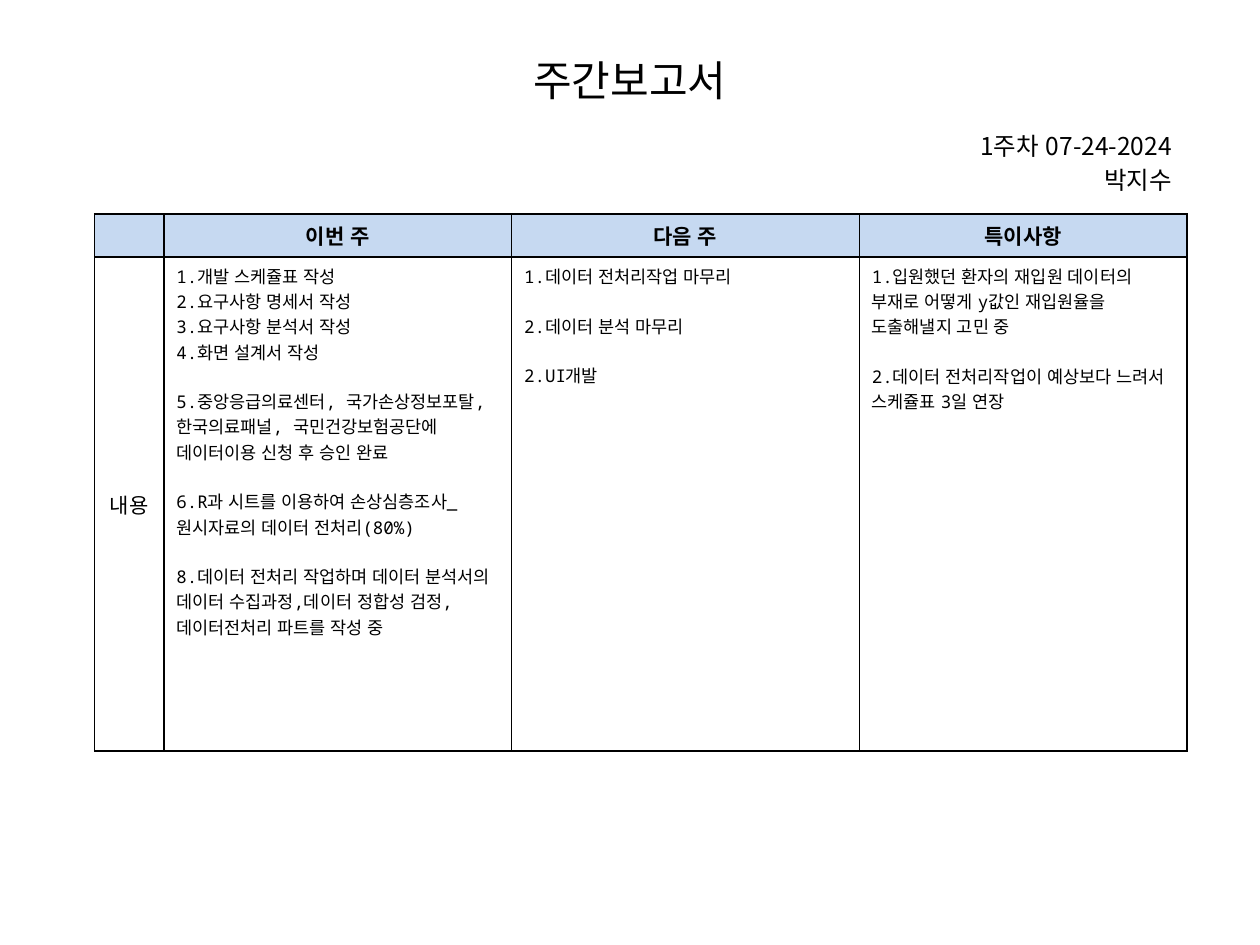
import pptx
import pptx.dml.color
import pptx.enum.lang
import pptx.enum.text
import pptx.oxml
import pptx.oxml.ns
import pptx.util
from dataclasses import dataclass

Inches = pptx.util.Inches
Pt = pptx.util.Pt
ALIGN = pptx.enum.text.PP_ALIGN
ANCHOR = pptx.enum.text.MSO_ANCHOR


@dataclass(frozen=True)
class Theme:
    text_font: str = "Noto Sans CJK KR"
    list_font: str = "Noto Sans Mono"
    ink: str = "000000"
    header_fill: str = "C6D9F1"
    title_size: int = 24
    subtitle_size: int = 14
    label_size: int = 12
    list_size: int = 10
    item_gap: int = 14
    subtitle_gap: float = 2.8
    border_width: int = 1


THEME = Theme()
TITLE = "주간보고서"
SUBTITLE = ["1주차 07-24-2024", "박지수"]
HEADERS = ["", "이번 주", "다음 주", "특이사항"]
ROW_LABEL = "내용"
COLUMN_WIDTHS = [0.55, 2.76, 2.76, 2.6]
ROW_HEIGHTS = [0.34, 3.92]
THIS_WEEK = [
    ["1.개발 스케쥴표 작성", "2.요구사항 명세서 작성", "3.요구사항 분석서 작성", "4.화면 설계서 작성"],
    ["5.중앙응급의료센터, 국가손상정보포탈, 한국의료패널, 국민건강보험공단에 데이터이용 신청 후 승인 완료"],
    ["6.R과 시트를 이용하여 손상심층조사_원시자료의 데이터 전처리(80%)"],
    ["8.데이터 전처리 작업하며 데이터 분석서의 데이터 수집과정,데이터 정합성 검정, 데이터전처리 파트를 작성 중"],
]
NEXT_WEEK = [["1.데이터 전처리작업 마무리"], ["2.데이터 분석 마무리"], ["2.UI개발"]]
REMARKS = [
    ["1.입원했던 환자의 재입원 데이터의 부재로 어떻게 y값인 재입원율을 도출해낼지 고민 중"],
    ["2.데이터 전처리작업이 예상보다 느려서 스케쥴표 3일 연장"],
]


def format_paragraph(paragraph, size, align, font_name=THEME.text_font, bold=False):
    paragraph.alignment = align
    font = paragraph.font
    font.name, font.size, font.bold = font_name, Pt(size), bold
    font.language_id = pptx.enum.lang.MSO_LANGUAGE_ID.KOREAN
    font.color.rgb = pptx.dml.color.RGBColor.from_string(THEME.ink)
    latin = paragraph._p.pPr.find(".//" + pptx.oxml.ns.qn("a:latin"))
    latin.addnext(pptx.oxml.parse_xml(
        f'<a:ea {pptx.oxml.ns.nsdecls("a")} typeface="{THEME.text_font}"/>'))


def write_lines(text_frame, lines, size, align, **style):
    text_frame.text = "\n".join(lines)
    for paragraph in text_frame.paragraphs:
        format_paragraph(paragraph, size, align, **style)


def add_title(slide):
    title = slide.shapes.title
    title.left, title.top = Inches(0.75), Inches(0.36)
    title.width, title.height = Inches(8.5), Inches(0.55)
    title.text_frame.vertical_anchor = ANCHOR.MIDDLE
    write_lines(title.text_frame, [TITLE], THEME.title_size, ALIGN.CENTER)


def add_subtitle(slide):
    box = slide.shapes.add_textbox(Inches(7.2), Inches(0.99), Inches(2.2), Inches(0.63))
    box.text_frame.word_wrap = True
    write_lines(box.text_frame, SUBTITLE, THEME.subtitle_size, ALIGN.RIGHT)
    for paragraph in box.text_frame.paragraphs:
        paragraph.space_before = Pt(THEME.subtitle_gap)


def format_cell(cell, fill=None):
    if fill:
        cell.fill.solid()
        cell.fill.fore_color.rgb = pptx.dml.color.RGBColor.from_string(fill)
    else:
        cell.fill.background()
    properties = cell._tc.get_or_add_tcPr()
    for position, side in enumerate("LRTB"):
        properties.insert(position, pptx.oxml.parse_xml(
            f'<a:ln{side} {pptx.oxml.ns.nsdecls("a")} w="{Pt(THEME.border_width)}">'
            f'<a:solidFill><a:srgbClr val="{THEME.ink}"/></a:solidFill></a:ln{side}>'))


def write_groups(cell, groups):
    lines = [line for group in groups for line in group]
    write_lines(cell.text_frame, lines, THEME.list_size, ALIGN.LEFT, font_name=THEME.list_font)
    first = 0
    for group in groups[:-1]:
        first += len(group)
        cell.text_frame.paragraphs[first].space_before = Pt(THEME.item_gap)


def add_report_table(slide):
    frame = slide.shapes.add_table(
        len(ROW_HEIGHTS), len(COLUMN_WIDTHS), Inches(0.75), Inches(1.7),
        Inches(sum(COLUMN_WIDTHS)), Inches(sum(ROW_HEIGHTS)))
    table = frame.table
    table.first_row = table.horz_banding = False
    for column, width in zip(table.columns, COLUMN_WIDTHS):
        column.width = Inches(width)
    for row, height in zip(table.rows, ROW_HEIGHTS):
        row.height = Inches(height)
    for index, header in enumerate(HEADERS):
        cell = table.cell(0, index)
        write_lines(cell.text_frame, [header], THEME.label_size, ALIGN.CENTER, bold=True)
        cell.vertical_anchor = ANCHOR.MIDDLE
        format_cell(cell, THEME.header_fill)
        format_cell(table.cell(1, index))
    label = table.cell(1, 0)
    label.vertical_anchor = ANCHOR.MIDDLE
    write_lines(label.text_frame, [ROW_LABEL], THEME.label_size, ALIGN.CENTER)
    for index, groups in enumerate([THIS_WEEK, NEXT_WEEK, REMARKS], start=1):
        write_groups(table.cell(1, index), groups)


def main():
    presentation = pptx.Presentation()
    presentation.slide_width, presentation.slide_height = Inches(10), Inches(7.5)
    slide = presentation.slides.add_slide(presentation.slide_layouts.get_by_name("Title Only"))
    add_title(slide)
    add_subtitle(slide)
    add_report_table(slide)
    presentation.save("out.pptx")


if __name__ == "__main__":
    main()
